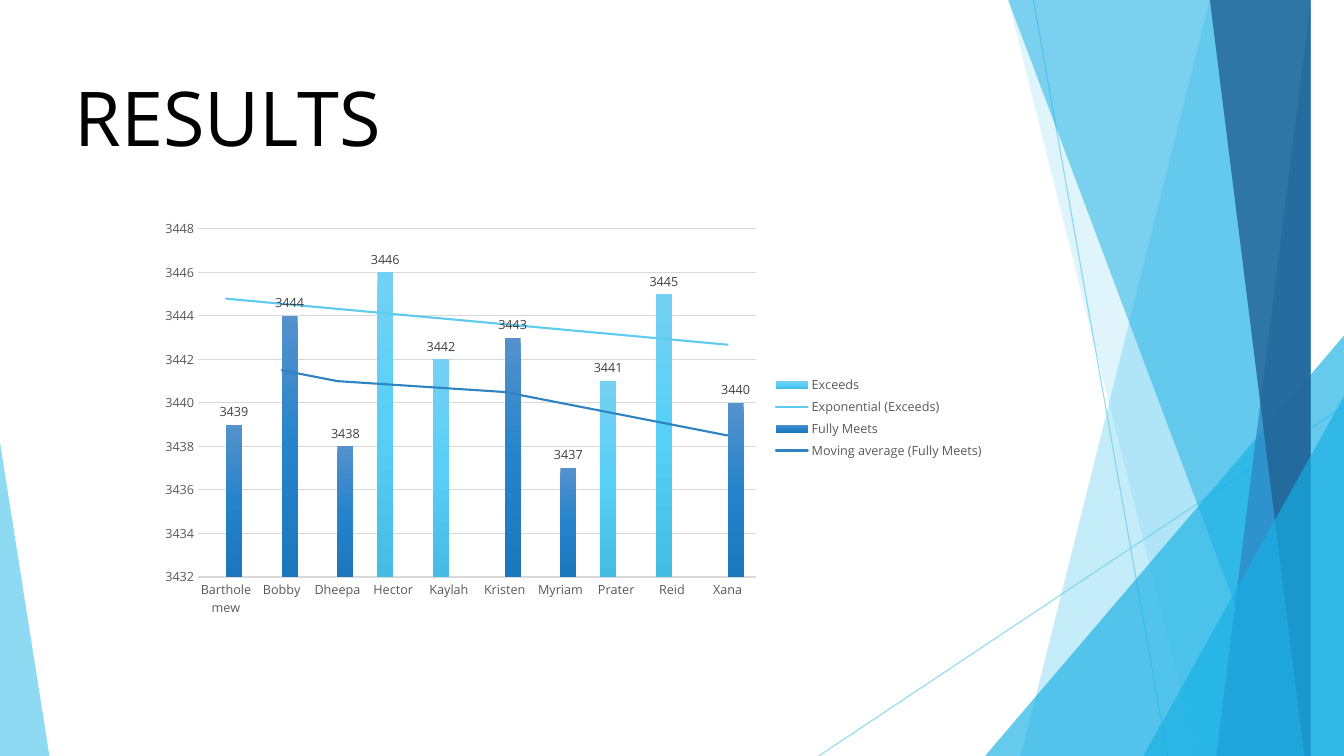
from lxml import etree
from pptx import Presentation
from pptx.chart.data import CategoryChartData
from pptx.dml.color import RGBColor
from pptx.enum import chart as ch, shapes, text
from pptx.oxml import parse_xml
from pptx.oxml.ns import nsdecls, qn
from pptx.util import Inches, Pt

SKY = RGBColor(0x5F, 0xCB, 0xEF)
CYAN = RGBColor(0x17, 0xB0, 0xE4)
BLUE = RGBColor(0x2E, 0x83, 0xC3)
NAVY = RGBColor(0x22, 0x62, 0x92)
BLACK = RGBColor(0, 0, 0)
GREY = RGBColor(0x59, 0x59, 0x59)
DARK = RGBColor(0x40, 0x40, 0x40)
RULE = RGBColor(0xD9, 0xD9, 0xD9)
FONT = "Open Sans"
W, H = 13.33, 7.5
TOP = -0.01

TITLE = "RESULTS"
NAMES = ["Bartholemew", "Bobby", "Dheepa", "Hector", "Kaylah",
         "Kristen", "Myriam", "Prater", "Reid", "Xana"]
SERIES = [
    ("Exceeds", [None, None, None, 3446, 3442, None, None, 3441, 3445, None],
     ("75D1F3", "58CFF6", "45BCE3"), SKY, '<c:trendlineType val="exp"/>'),
    ("Fully Meets", [3439, 3444, 3438, None, None, 3443, 3437, None, None, 3440],
     ("5491CD", "2784CA", "1C76BB"), BLUE,
     '<c:trendlineType val="movingAvg"/><c:period val="2"/>'),
]
PLOT = {"x": 0.059, "y": 0.042, "w": 0.659, "h": 0.844}

RAYS = [((10.25, 0), (11.58, H)), ((W, 4.03), (8.12, H))]
# kind, geometry, colour, opacity
PANELS = [
    ("band", (12.28, 10.04), SKY, 36),
    ("band", (10.5, 11.83), SKY, 20),
    ("triangle", (9.77, 3.33, 3.56, 1), CYAN, 66),
    ("band", (10.21, 12.91), CYAN, 50),
    ("band", (13.03, 11.92), BLUE, 70),
    ("band", (11.96, 13.18), NAVY, 80),
    ("triangle", (11.34, 3.93, 1.99, 1), CYAN, 66),
    ("triangle", (0, 4.39, 0.49, 0), SKY, 70),
]


def set_alpha(part, percent):
    color = next(part.iter(qn("a:srgbClr")))
    etree.SubElement(color, qn("a:alpha")).set("val", str(percent * 1000))


def style(font, size, color):
    font.name, font.size, font.color.rgb = FONT, Pt(size), color


def add_ray(s, start, end):
    c = s.shapes.add_connector(shapes.MSO_CONNECTOR.STRAIGHT,
                               *(Inches(v) for v in start + end))
    c.line.color.rgb, c.line.width = SKY, Pt(0.75)
    set_alpha(c.line._ln, 70)
    etree.SubElement(c._element.spPr, qn("a:effectLst"))


def add_panel(s, kind, geometry, color, opacity):
    if kind == "band":
        top_x, bottom_x = geometry
        fb = s.shapes.build_freeform(top_x, TOP, scale=Inches(1))
        fb.add_line_segments([(W, TOP), (W, H), (bottom_x, H)], close=True)
        sp = fb.convert_to_shape()
    else:
        x, y, width, apex = geometry
        sp = s.shapes.add_shape(shapes.MSO_SHAPE.ISOSCELES_TRIANGLE, Inches(x),
                                Inches(y), Inches(width), Inches(H - y))
        sp.adjustments[0] = apex
    sp.shadow.inherit = False
    sp.line.fill.background()
    sp.fill.solid()
    sp.fill.fore_color.rgb = color
    set_alpha(sp._element.spPr, opacity)


def style_series(series, stops, trend_color, trend):
    fill = series.format.fill
    fill.gradient()
    grad = series._element.spPr.find(qn("a:gradFill"))
    gs = "".join(f'<a:gs pos="{i * 50000}"><a:srgbClr val="{c}"/></a:gs>'
                 for i, c in enumerate(stops))
    grad.getparent().replace(grad, parse_xml(
        f'<a:gradFill {nsdecls("a")}><a:gsLst>{gs}</a:gsLst>'
        '<a:lin ang="5400000" scaled="0"/></a:gradFill>'))
    series.invert_if_negative = False
    labels = series.data_labels
    labels.show_value = True
    labels.position = ch.XL_LABEL_POSITION.OUTSIDE_END
    style(labels.font, 9, DARK)
    series._element.find(qn("c:cat")).addprevious(parse_xml(
        f'<c:trendline {nsdecls("c", "a")}><c:spPr><a:ln w="{Pt(1.5)}" cap="rnd">'
        f'<a:solidFill><a:srgbClr val="{trend_color}"/></a:solidFill></a:ln></c:spPr>'
        f'{trend}<c:dispRSqr val="0"/><c:dispEq val="0"/></c:trendline>'))


def add_results(s):
    data = CategoryChartData(number_format="General")
    data.categories = NAMES
    for name, values, *_ in SERIES:
        data.add_series(name, values)
    chart = s.shapes.add_chart(ch.XL_CHART_TYPE.COLUMN_CLUSTERED, Inches(1.47),
                               Inches(2.1), Inches(8.39), Inches(4.09), data).chart
    style(chart.font, 10, BLACK)
    chart.has_title = False
    chart.has_legend = True
    chart.legend.position = ch.XL_LEGEND_POSITION.RIGHT
    chart.legend.include_in_layout = False
    style(chart.legend.font, 9, GREY)
    plot = chart.plots[0]
    plot.gap_width, plot.overlap, plot.vary_by_categories = 150, 0, False
    for series, (_, _, stops, color, trend) in zip(plot.series, SERIES):
        style_series(series, stops, color, trend)

    cat, val = chart.category_axis, chart.value_axis
    for axis in (cat, val):
        axis.major_tick_mark = axis.minor_tick_mark = ch.XL_TICK_MARK.NONE
        style(axis.tick_labels.font, 9, GREY)
    val.minimum_scale, val.maximum_scale, val.major_unit = 3432, 3448, 2
    val.format.line.fill.background()
    for line, width in ((cat.format.line, 1), (val.major_gridlines.format.line, 0.75)):
        line.color.rgb, line.width = RULE, Pt(width)

    area = chart._chartSpace.chart.plotArea
    for old in area.findall(qn("c:layout")):
        area.remove(old)
    modes = '<c:xMode val="edge"/><c:yMode val="edge"/>'
    sizes = "".join(f'<c:{k} val="{v}"/>' for k, v in PLOT.items())
    area.insert(0, parse_xml(
        f'<c:layout {nsdecls("c")}><c:manualLayout><c:layoutTarget val="inner"/>'
        f'{modes}{sizes}</c:manualLayout></c:layout>'))


def main():
    prs = Presentation()
    prs.slide_width, prs.slide_height = Inches(W), Inches(H)
    s = prs.slides.add_slide(prs.slide_layouts[5])
    for start, end in RAYS:
        add_ray(s, start, end)
    for panel in PANELS:
        add_panel(s, *panel)

    title = s.shapes.title
    title.left, title.top = Inches(0.64), Inches(0.65)
    title.width, title.height = Inches(7.59), Inches(1.01)
    tf = title.text_frame
    tf.text = TITLE
    tf.vertical_anchor = text.MSO_ANCHOR.MIDDLE
    tf.auto_size = text.MSO_AUTO_SIZE.NONE
    p = tf.paragraphs[0]
    p.alignment = text.PP_ALIGN.LEFT
    style(p.runs[0].font, 54, BLACK)

    add_results(s)
    prs.save("out.pptx")


if __name__ == "__main__":
    main()
